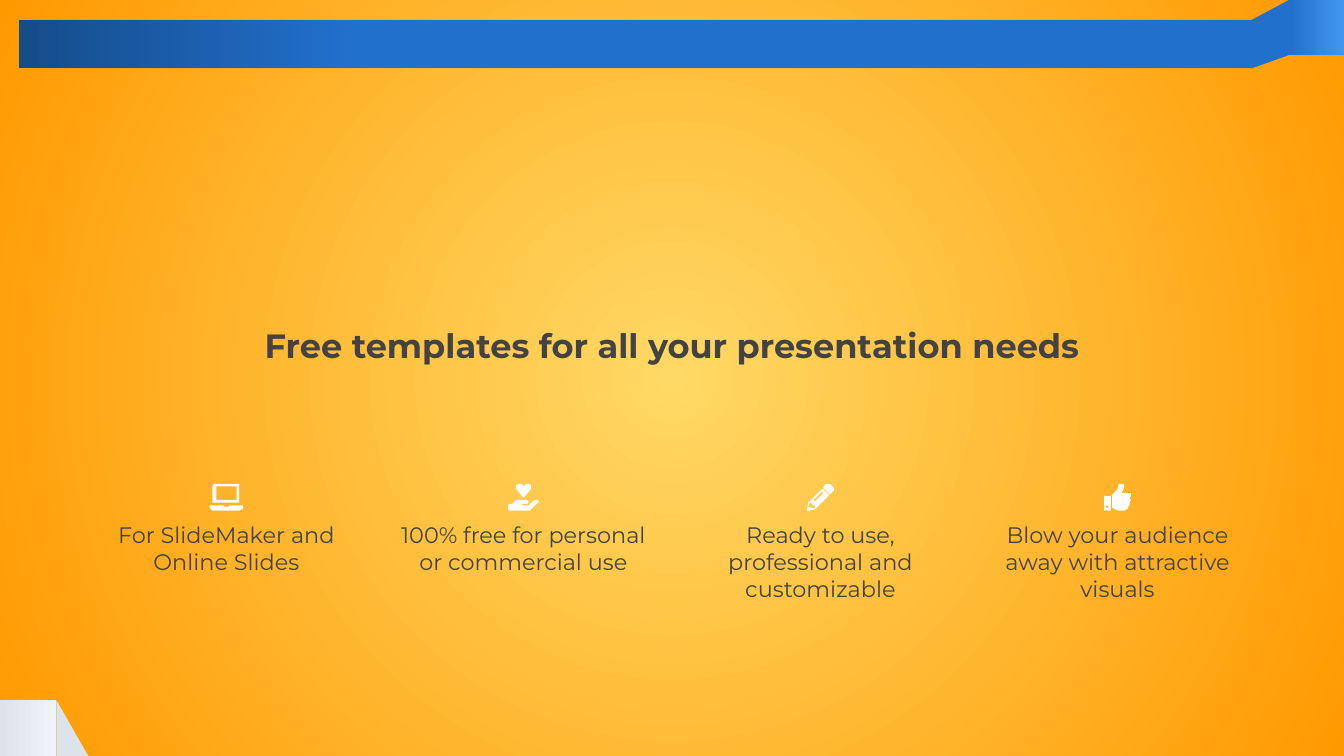
from lxml.etree import SubElement
from pptx import Presentation
from pptx.dml.color import RGBColor
from pptx.enum.shapes import MSO_SHAPE
from pptx.enum.text import PP_ALIGN
from pptx.oxml.ns import qn
from pptx.util import Inches, Pt

FONT = "Montserrat"
GRAY = RGBColor(0x43, 0x43, 0x43)
WHITE = RGBColor(0xFF, 0xFF, 0xFF)
BLUE = RGBColor(0x21, 0x70, 0xCC)
NAVY = RGBColor(0x15, 0x4C, 0x8A)
SKY = RGBColor(0x43, 0x97, 0xEE)
MIST = RGBColor(0xDD, 0xE3, 0xEB)
PALE = RGBColor(0xF0, 0xF3, 0xF7)
YELLOW = RGBColor(0xFF, 0xD9, 0x66)
ORANGE = RGBColor(0xFF, 0x99, 0x00)

# Icon outlines, in hundredths of an inch from the icon's top left corner
LAPTOP = [
    [(5, 2.5), (20, 2.5), (20, 12.5), (5, 12.5)],
    [(4, 0), (3, 0.5), (2.5, 1.5), (2.5, 14.5), (22.5, 14.5), (22.5, 1.5),
     (22, 0.5), (21, 0)],
    [(0.5, 16), (0, 16.5), (0, 17.5), (1, 19.2), (2.5, 20), (22.5, 20),
     (24, 19.2), (25, 17.5), (25, 16.5), (24.5, 16), (15, 16), (14, 17.3),
     (11, 17.3), (10, 16)],
]
HAND = [
    [(8, 0), (6.3, 1), (5.7, 2.7), (6, 4.3), (6.7, 5.3), (11, 9.7),
     (11.5, 9.9), (12, 9.7), (16.3, 5.3), (17.2, 4), (17.2, 2.5), (16.7, 1),
     (15, 0), (13.5, 0), (12.3, 0.7), (11.5, 1.5), (10.5, 0.5), (9.5, 0)],
    [(8, 12.2), (6.5, 12.4), (5, 13), (3, 14.8), (0.8, 14.8), (0, 15.5),
     (0, 19.2), (0.8, 20), (14.5, 20), (16, 19.5), (22, 14.5), (22.7, 13.5),
     (22.2, 12.4), (21.2, 12), (20, 12.5), (16.5, 15.3), (15.5, 16),
     (10.8, 16), (10.2, 15.4), (10.8, 14.8), (14, 14.8), (15, 14),
     (15.1, 13.1), (14, 12.2)],
]
PENCIL = [
    [(15.5, 0), (14.5, 0.5), (12.2, 2.6), (12.2, 3), (17, 7.5), (17.4, 7.5),
     (19.5, 5.3), (20, 4.3), (19.5, 3.2), (16.6, 0.4)],
    [(11, 6), (11.6, 6.3), (11.5, 7), (5.5, 13), (4.8, 13), (4.7, 12.3)],
    [(3.3, 14), (3.9, 15.9), (5.8, 16.4), (5.5, 17.9), (2.6, 18.4),
     (1.4, 17.2), (1.9, 14.2)],
    [(11.3, 3.8), (1, 14.2), (0, 19.2), (0.4, 19.8), (1, 20), (5.7, 18.9),
     (16.2, 8.7), (16.2, 8.3), (11.7, 3.8)],
]
THUMB = [
    [(2.4, 16.2), (3.2, 16.7), (3.3, 17.3), (2.8, 18), (2, 18), (1.4, 17.3),
     (1.6, 16.5)],
    [(0.9, 8.8), (0.2, 9), (0, 9.6), (0, 19.2), (0.3, 19.8), (0.9, 20),
     (4.2, 20), (4.8, 19.8), (5, 19.2), (5, 9.6), (4.8, 9), (4.2, 8.8)],
    [(12, 0), (11.2, 0.5), (10.2, 3.7), (9, 5.3), (6.5, 8.5), (6.2, 9.2),
     (6.2, 17.7), (6.8, 18.3), (8.5, 18.6), (11.3, 19.7), (15, 20),
     (17.3, 19.4), (18.2, 18.3), (18, 16.8), (19, 15.5), (18.9, 13.5),
     (19.5, 12.3), (19.2, 10.8), (20, 9), (19.5, 7.4), (18, 6.7), (13.4, 6.7),
     (14.2, 5), (15, 3), (14.7, 1.3), (13.5, 0.2)],
]

FEATURES = [
    ("For SlideMaker and Online Slides", LAPTOP),
    ("100% free for personal or commercial use", HAND),
    ("Ready to use, professional and customizable", PENCIL),
    ("Blow your audience away with attractive visuals", THUMB),
]


def blend(fill, start, end, stop=1):
    """Fill from left to right, reaching the end colour at stop."""
    fill.gradient()
    fill.gradient_angle = 0
    first, last = fill.gradient_stops
    first.color.rgb, first.position = start, 0
    last.color.rgb, last.position = end, stop


def paint_back(slide):
    """Give the slide a glow that spreads from its centre."""
    blend(slide.background.fill, YELLOW, ORANGE)
    grad = next(slide.element.iter(qn("a:gradFill")))
    grad.remove(grad.find(qn("a:lin")))
    glow = SubElement(grad, qn("a:path"), path="circle")
    mid = {side: "50000" for side in "ltrb"}
    SubElement(glow, qn("a:fillToRect"), mid)


def finish(shape, color=None):
    shape.shadow.inherit = False
    shape.line.fill.background()
    if color is not None:
        shape.fill.solid()
        shape.fill.fore_color.rgb = color


def add_block(slide, kind, left, top, width, height, color=None):
    shape = slide.shapes.add_shape(
        kind, Inches(left), Inches(top), Inches(width), Inches(height))
    finish(shape, color)
    return shape


def add_shade(slide, left, top, width, height, start, end, stop=1):
    shape = add_block(slide, MSO_SHAPE.RECTANGLE, left, top, width, height)
    blend(shape.fill, start, end, stop)


def add_outline(slide, left, top, loops, color):
    """Draw closed loops given in hundredths of an inch."""
    pen = slide.shapes.build_freeform(*loops[0][0], scale=Inches(0.01))
    for i, loop in enumerate(loops):
        if i:
            pen.move_to(*loop[0])
        pen.add_line_segments(loop[1:], close=True)
    finish(pen.convert_to_shape(Inches(left), Inches(top)), color)


def add_text(slide, left, top, width, height, text, size, bold=False):
    box = slide.shapes.add_textbox(
        Inches(left), Inches(top), Inches(width), Inches(height))
    frame = box.text_frame
    frame.word_wrap = True
    frame.margin_left = frame.margin_right = 0
    frame.margin_top = frame.margin_bottom = 0
    frame.text = text
    para = frame.paragraphs[0]
    para.alignment = PP_ALIGN.CENTER
    font = para.runs[0].font
    font.name, font.size, font.bold = FONT, Pt(size), bold
    font.color.rgb = GRAY


def add_feature(slide, left, text, icon):
    width = 1.85
    add_text(slide, left, 3.88, width, 0.7, text, 12)
    span = max(x for loop in icon for x, _ in loop) / 100
    add_outline(slide, left + (width - span) / 2, 3.6, icon, WHITE)


def add_ribbons(slide):
    add_block(slide, MSO_SHAPE.RIGHT_TRIANGLE, 0.42, 5.21, 0.24, 0.42, MIST)
    add_shade(slide, 0, 5.21, 0.42, 0.42, MIST, PALE)
    add_shade(slide, 9.59, 0, 0.41, 0.41, BLUE, SKY)
    fold = [(28, 0), (0, 15), (0, 51), (28, 41)]
    add_outline(slide, 9.31, 0, [fold], BLUE)
    add_shade(slide, 0.14, 0.15, 9.17, 0.36, NAVY, BLUE, 0.27)


def main():
    deck = Presentation()
    deck.slide_width, deck.slide_height = Inches(10), Inches(5.625)
    slide = deck.slides.add_slide(deck.slide_layouts[6])
    paint_back(slide)
    add_ribbons(slide)
    add_text(slide, 1.21, 2.42, 7.58, 0.29,
             "Free templates for all your presentation needs", 18, True)
    for i, (text, icon) in enumerate(FEATURES):
        add_feature(slide, 0.76 + 2.21 * i, text, icon)
    deck.save("out.pptx")


if __name__ == "__main__":
    main()
